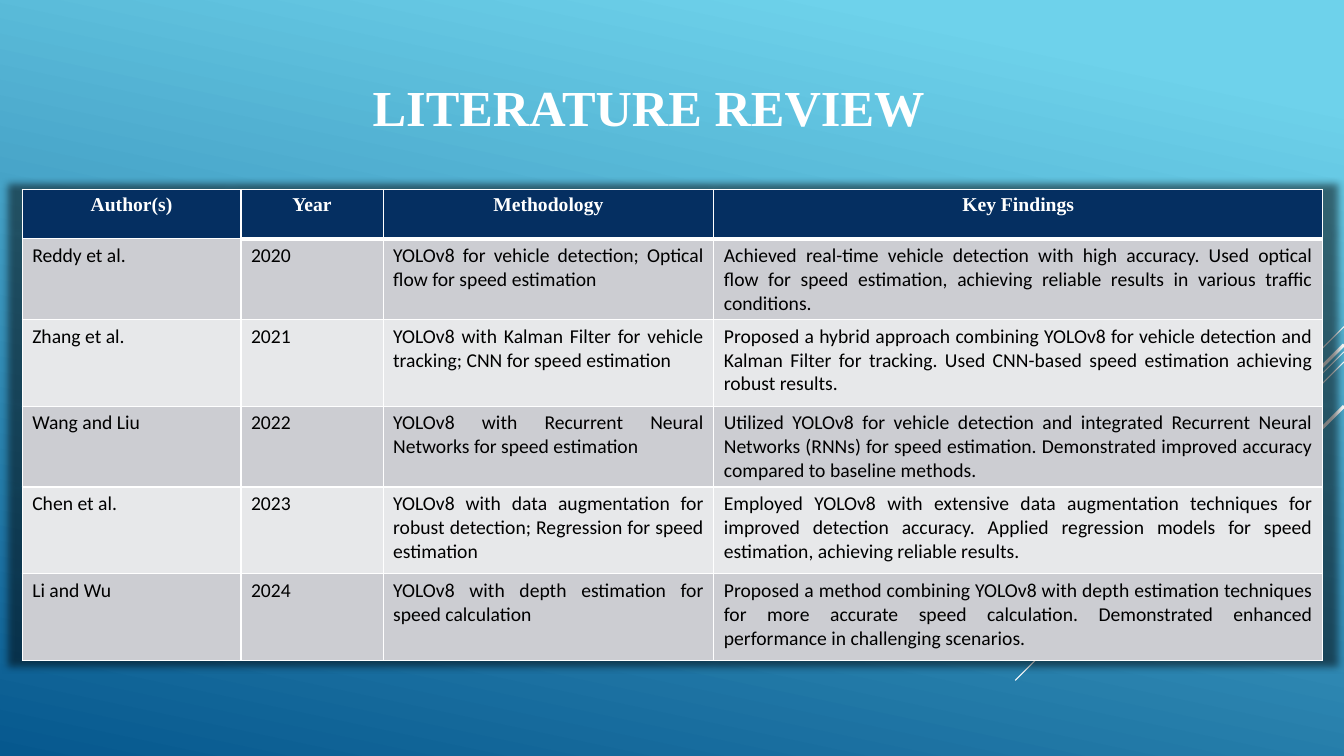
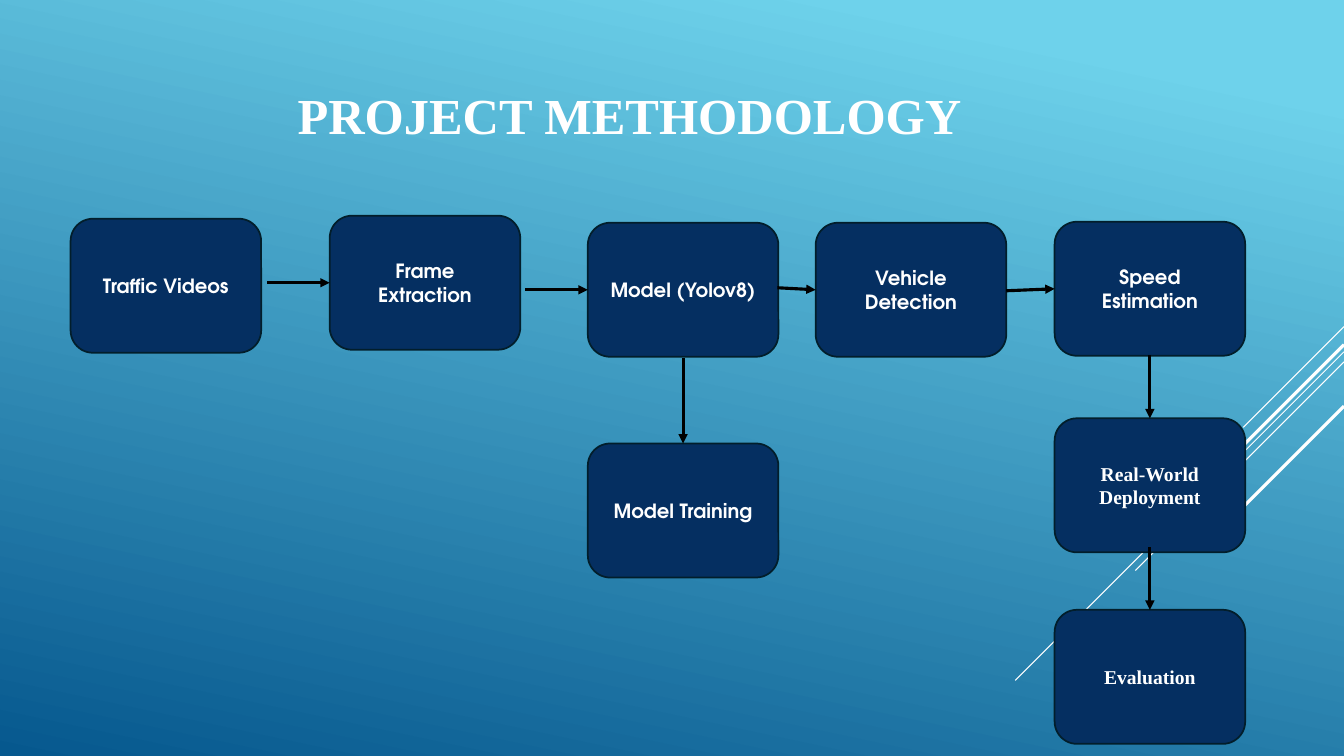
from lxml.etree import SubElement
from pptx import Presentation
from pptx.dml.color import RGBColor
from pptx.enum.shapes import MSO_CONNECTOR as Connector, MSO_SHAPE as Shape
from pptx.enum.text import MSO_ANCHOR as Anchor, PP_ALIGN as Align
from pptx.oxml import parse_xml
from pptx.oxml.ns import nsdecls, qn
from pptx.util import Inches, Pt

WIDTH, HEIGHT = 13.33, 7.5
COLORS = {
    "sky": "6ED2EB",
    "deep": "06588E",
    "navy": "052F61",
    "outline": "021E2B",
    "white": "FFFFFF",
    "black": "000000",
    "band_dark": "CCCDD2",
    "band_light": "E7E8EA",
}
SERIF, SANS, GEOMETRIC = "Times New Roman", "Calibri", "TeX Gyre Adventor"

STREAKS = [(3.24, 1, 0.75), (3.49, 3.26, 0.75), (3.59, 2.07, 0.75),
           (3.42, 1.91, 2.25), (4.03, 1.39, 2.25)]

COLUMNS = [2.17, 1.41, 3.28, 6.04]
ROWS = [0.49, 0.76, 0.86, 0.76, 0.86, 0.86]
PAPERS = [
    ("Author(s)", "Year", "Methodology", "Key Findings"),
    ("Reddy et al.", "2020",
     "YOLOv8 for vehicle detection; Optical flow for speed estimation",
     "Achieved real-time vehicle detection with high accuracy. Used optical flow for speed "
     "estimation, achieving reliable results in various traffic conditions."),
    ("Zhang et al.", "2021",
     "YOLOv8 with Kalman Filter for vehicle tracking; CNN for speed estimation",
     "Proposed a hybrid approach combining YOLOv8 for vehicle detection and Kalman Filter for "
     "tracking. Used CNN-based speed estimation achieving robust results."),
    ("Wang and Liu", "2022",
     "YOLOv8 with Recurrent Neural Networks for speed estimation",
     "Utilized YOLOv8 for vehicle detection and integrated Recurrent Neural Networks (RNNs) for "
     "speed estimation. Demonstrated improved accuracy compared to baseline methods."),
    ("Chen et al.", "2023",
     "YOLOv8 with data augmentation for robust detection; Regression for speed estimation",
     "Employed YOLOv8 with extensive data augmentation techniques for improved detection accuracy. "
     "Applied regression models for speed estimation, achieving reliable results."),
    ("Li and Wu", "2024",
     "YOLOv8 with depth estimation for speed calculation",
     "Proposed a method combining YOLOv8 with depth estimation techniques for more accurate speed "
     "calculation. Demonstrated enhanced performance in challenging scenarios."),
]

STEP_WIDTH, STEP_HEIGHT = 1.89, 1.33
STEPS = {
    "Traffic Videos": (0, 0.03, GEOMETRIC),
    "Frame Extraction": (2.57, 0, GEOMETRIC),
    "Model (Yolov8)": (5.13, 0.07, GEOMETRIC),
    "Model Training": (5.13, 2.26, GEOMETRIC),
    "Vehicle Detection": (7.39, 0.07, GEOMETRIC),
    "Speed Estimation": (9.76, 0.06, GEOMETRIC),
    "Real-World Deployment": (9.76, 2.01, SERIF),
    "Evaluation": (9.76, 3.91, SERIF),
}
ARROWS = [
    ("Frame Extraction", 0.62, 0),
    ("Model (Yolov8)", 0.62, 0),
    ("Vehicle Detection", 0.38, 0.02),
    ("Speed Estimation", 0.48, -0.02),
    ("Model Training", 0, 0.85),
    ("Real-World Deployment", 0, 0.63),
    ("Evaluation", 0, 0.62),
]


def color(name):
    return RGBColor.from_string(COLORS[name])


def write(frame, text, size, font, ink, bold=True, align=Align.CENTER):
    frame.word_wrap = True
    para = frame.paragraphs[0]
    para.text = text
    para.alignment = align
    span = para.runs[0].font
    span.size, span.name, span.bold = Pt(size), font, bold
    span.color.rgb = color(ink)


def add_line(page, start, end, ink, weight, arrow=False):
    line = page.shapes.add_connector(Connector.STRAIGHT, *map(Inches, start + end))
    line.line.color.rgb = color(ink)
    line.line.width = Pt(weight)
    properties = line.line._get_or_add_ln()
    if arrow:
        SubElement(properties, qn("a:tailEnd"), type="triangle")
    SubElement(properties.getparent(), qn("a:effectLst"))


def add_page(deck, title, box):
    page = deck.slides.add_slide(deck.slide_layouts[6])
    fill = page.background.fill
    fill.gradient()
    fill.gradient_angle = 258
    for stop, (position, name) in zip(fill.gradient_stops, [(0.1, "sky"), (1, "deep")]):
        stop.position = position
        stop.color.rgb = color(name)
    for top, reach, weight in STREAKS:
        add_line(page, (WIDTH, top), (WIDTH - reach, top + reach), "white", weight)
    frame = page.shapes.add_textbox(*map(Inches, box)).text_frame
    frame.vertical_anchor = Anchor.MIDDLE
    write(frame, title, 36, SERIF, "white")
    return page


def set_borders(cell, weights):
    properties = cell._tc.get_or_add_tcPr()
    for side, weight in weights.items():
        edge = SubElement(properties, qn("a:ln" + side), w=str(Pt(weight)))
        solid = SubElement(edge, qn("a:solidFill"))
        SubElement(solid, qn("a:srgbClr"), val=COLORS["white"])


def add_table_shadow(table):
    table._tbl.tblPr.insert(0, parse_xml(
        f'<a:effectLst {nsdecls("a")}>'
        '<a:outerShdw blurRad="63500" sx="102000" sy="102000" algn="ctr" rotWithShape="0">'
        f'<a:srgbClr val="{COLORS["black"]}"><a:alpha val="50000"/></a:srgbClr>'
        '</a:outerShdw></a:effectLst>'))


def add_review_table(page, left, top):
    box = map(Inches, (left, top, sum(COLUMNS), sum(ROWS)))
    table = page.shapes.add_table(len(ROWS), len(COLUMNS), *box).table
    add_table_shadow(table)
    for column, width in zip(table.columns, COLUMNS):
        column.width = Inches(width)
    for r, (row, height, texts) in enumerate(zip(table.rows, ROWS, PAPERS)):
        row.height = Inches(height)
        for c, (cell, text) in enumerate(zip(row.cells, texts)):
            weights = dict.fromkeys("LRTB", 1)
            if c and r < 2:
                weights["T" if r else "B"] = 3
            set_borders(cell, weights)
            cell.fill.solid()
            if r == 0:
                cell.fill.fore_color.rgb = color("navy")
                write(cell.text_frame, text, 14, SERIF, "white")
            else:
                cell.fill.fore_color.rgb = color("band_dark" if r % 2 else "band_light")
                write(cell.text_frame, text, 14, SANS, "black", False, Align.JUSTIFY)


def add_flow(page, left, top):
    for label, (x, y, font) in STEPS.items():
        box = map(Inches, (left + x, top + y, STEP_WIDTH, STEP_HEIGHT))
        step = page.shapes.add_shape(Shape.ROUNDED_RECTANGLE, *box)
        step.shadow.inherit = False
        step.fill.solid()
        step.fill.fore_color.rgb = color("navy")
        step.line.color.rgb = color("outline")
        step.line.width = Pt(1.25)
        step.text_frame.vertical_anchor = Anchor.MIDDLE
        write(step.text_frame, label, 14, font, "white")
    for target, run, drop in ARROWS:
        x, y, _ = STEPS[target]
        end_x = left + x + (0 if run else STEP_WIDTH / 2)
        end_y = top + y + (STEP_HEIGHT / 2 if run else 0)
        add_line(page, (end_x - run, end_y - drop), (end_x, end_y), "black", 2.25, True)


def main():
    deck = Presentation()
    deck.slide_width, deck.slide_height = Inches(WIDTH), Inches(HEIGHT)
    review = add_page(deck, "LITERATURE REVIEW", (1.77, 0.23, 9.33, 1.65))
    add_review_table(review, 0.22, 1.88)
    methodology = add_page(deck, "PROJECT METHODOLOGY", (0.99, 0.54, 10.51, 1.18))
    add_flow(methodology, 0.7, 2.14)
    deck.save("out.pptx")


if __name__ == "__main__":
    main()
